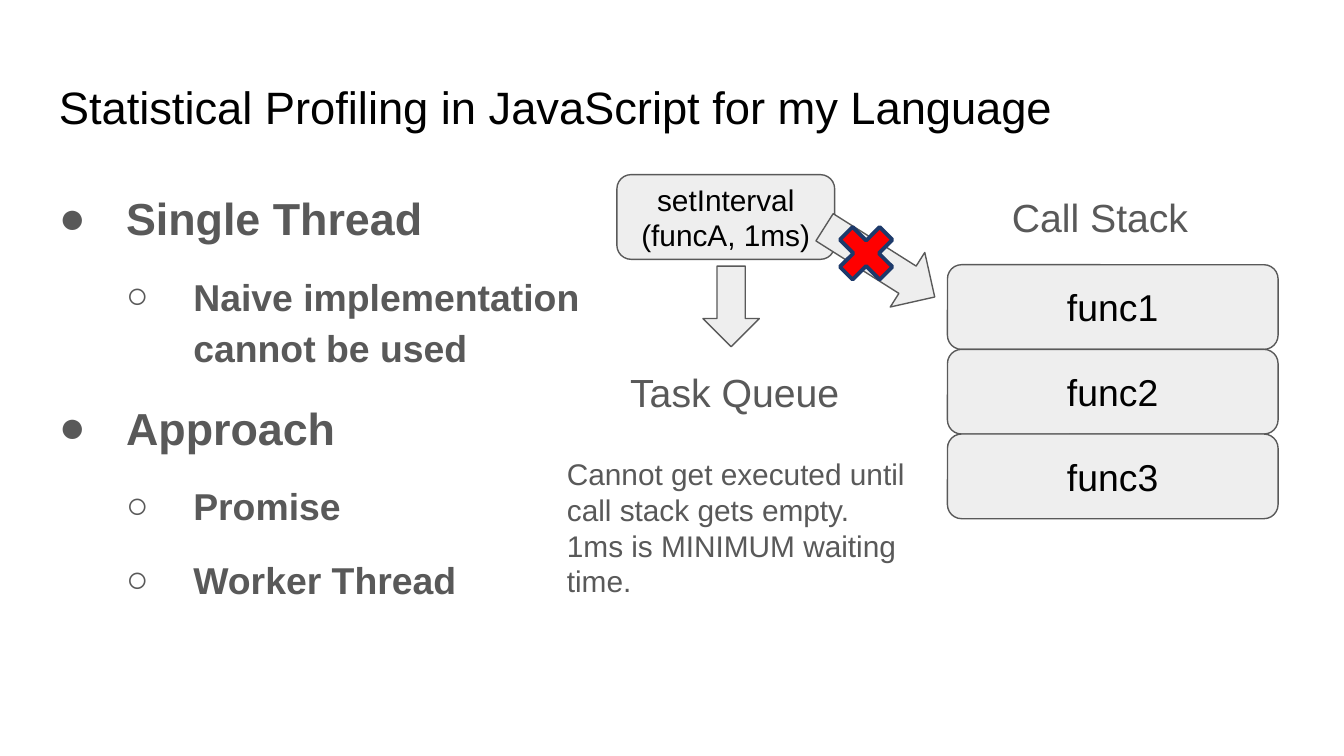
from lxml import etree
from pptx import Presentation
from pptx.dml.color import RGBColor
from pptx.enum.shapes import MSO_SHAPE
from pptx.enum.text import MSO_ANCHOR, PP_ALIGN
from pptx.oxml.ns import qn
from pptx.util import Inches, Pt

ROUND_RECT = MSO_SHAPE.ROUNDED_RECTANGLE
LEFT_ARROW = MSO_SHAPE.LEFT_ARROW
CROSS = MSO_SHAPE.MATH_MULTIPLY
MIDDLE = MSO_ANCHOR.MIDDLE
TOP = MSO_ANCHOR.TOP
CENTER = PP_ALIGN.CENTER
LEFT = PP_ALIGN.LEFT

BLACK = RGBColor(0x00, 0x00, 0x00)
GRAY = RGBColor(0x59, 0x59, 0x59)
LIGHT = RGBColor(0xEE, 0xEE, 0xEE)
RED = RGBColor(0xFF, 0x00, 0x00)
NAVY = RGBColor(0x1D, 0x3A, 0x6B)

FONT = "Arial"
LEVEL_STYLES = [("●", 24), ("○", 20)]
OUTLINE = [
    (0, "Single Thread"),
    (1, "Naive implementation cannot be used"),
    (0, "Approach"),
    (1, "Promise"),
    (1, "Worker Thread"),
]
BOX_HEIGHT = 0.63


def add_run(p, text, size, color, bold=False):
    r = p.add_run()
    r.text = text
    r.font.name = FONT
    r.font.size = Pt(size)
    r.font.bold = bold
    r.font.color.rgb = color


def setup_frame(tf, anchor=TOP):
    tf.word_wrap = True
    tf.vertical_anchor = anchor
    tf.margin_left = tf.margin_right = Inches(0.1)
    tf.margin_top = tf.margin_bottom = Inches(0.1)


def add_frame(s, x, y, w, h):
    tf = s.shapes.add_textbox(Inches(x), Inches(y), Inches(w), Inches(h)).text_frame
    setup_frame(tf)
    return tf


def next_paragraph(tf, index):
    return tf.add_paragraph() if index else tf.paragraphs[0]


def add_text(s, x, y, w, h, lines, size, color=GRAY):
    tf = add_frame(s, x, y, w, h)
    for i, line in enumerate(lines):
        p = next_paragraph(tf, i)
        p.alignment = LEFT
        add_run(p, line, size, color)


def set_bullet(p, char, level):
    pPr = p._p.get_or_add_pPr()
    pPr.set("marL", str(Inches(0.5 * (level + 1))))
    pPr.set("indent", str(Inches(-0.5)))
    clr = etree.SubElement(pPr, qn("a:buClr"))
    etree.SubElement(clr, qn("a:srgbClr")).set("val", str(GRAY))
    etree.SubElement(pPr, qn("a:buFont")).set("typeface", FONT)
    etree.SubElement(pPr, qn("a:buChar")).set("char", char)


def add_outline(s, x, y, w, h, items):
    tf = add_frame(s, x, y, w, h)
    for i, (level, text) in enumerate(items):
        char, size = LEVEL_STYLES[level]
        p = next_paragraph(tf, i)
        p.level = level
        p.line_spacing = 1.15
        p.space_before = Pt(12)
        set_bullet(p, char, level)
        add_run(p, text, size, GRAY, bold=True)


def add_figure(s, kind, x, y, w, h, fill=LIGHT, line=GRAY, weight=0.75, rotation=0):
    sp = s.shapes.add_shape(kind, Inches(x), Inches(y), Inches(w), Inches(h))
    sp.shadow.inherit = False
    sp.fill.solid()
    sp.fill.fore_color.rgb = fill
    sp.line.color.rgb = line
    sp.line.width = Pt(weight)
    sp.rotation = rotation
    return sp


def add_box(s, x, y, w, text, size):
    sp = add_figure(s, ROUND_RECT, x, y, w, BOX_HEIGHT)
    tf = sp.text_frame
    setup_frame(tf, MIDDLE)
    p = tf.paragraphs[0]
    p.alignment = CENTER
    add_run(p, text, size, BLACK)


def main():
    prs = Presentation()
    prs.slide_width = Inches(10)
    prs.slide_height = Inches(10 * 9 / 16)
    s = prs.slides.add_slide(prs.slide_layouts[6])

    title = "Statistical Profiling in JavaScript for my Language"
    add_text(s, 0.34, 0.49, 9.32, 0.63, [title], 24.3, BLACK)
    add_outline(s, 0.34, 1.26, 4.36, 3.88, OUTLINE)

    add_box(s, 4.59, 1.3, 1.62, "setInterval (funcA, 1ms)", 16)
    for i, name in enumerate(["func1", "func2", "func3"]):
        add_box(s, 7.05, 1.97 + i * BOX_HEIGHT, 2.46, name, 20)
    add_text(s, 7.43, 1.34, 1.81, 0.56, ["Call Stack"], 21)

    add_figure(s, LEFT_ARROW, 5.14, 2.07, 0.6, 0.42, rotation=270)
    notes = ["Cannot get executed until call stack gets empty.",
             "1ms is MINIMUM waiting time."]
    add_text(s, 4.12, 3.29, 2.93, 1.28, notes, 16)
    add_figure(s, LEFT_ARROW, 6.06, 1.71, 0.97, 0.48, rotation=212.3)
    add_figure(s, CROSS, 6.16, 1.6, 0.57, 0.57, RED, NAVY, 2)
    add_text(s, 4.59, 2.64, 1.81, 0.56, ["Task Queue"], 21)

    prs.save("out.pptx")


if __name__ == "__main__":
    main()
